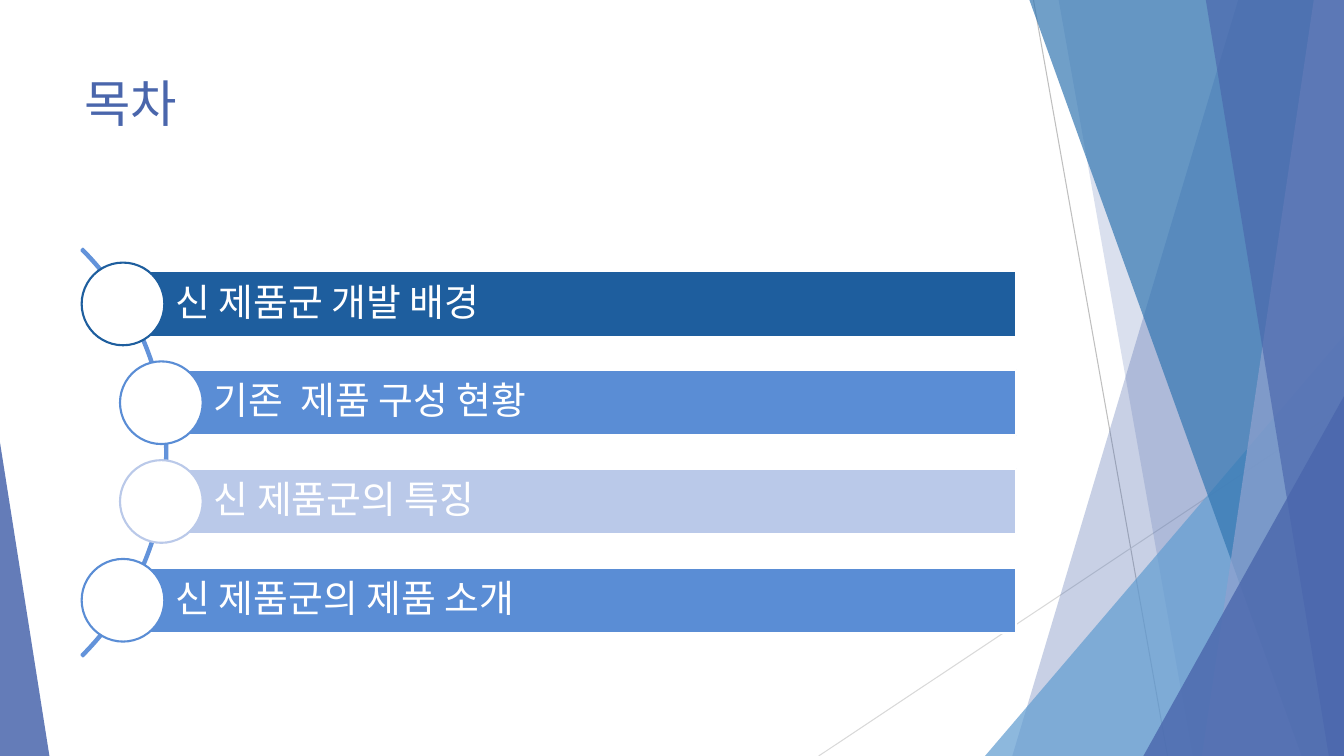
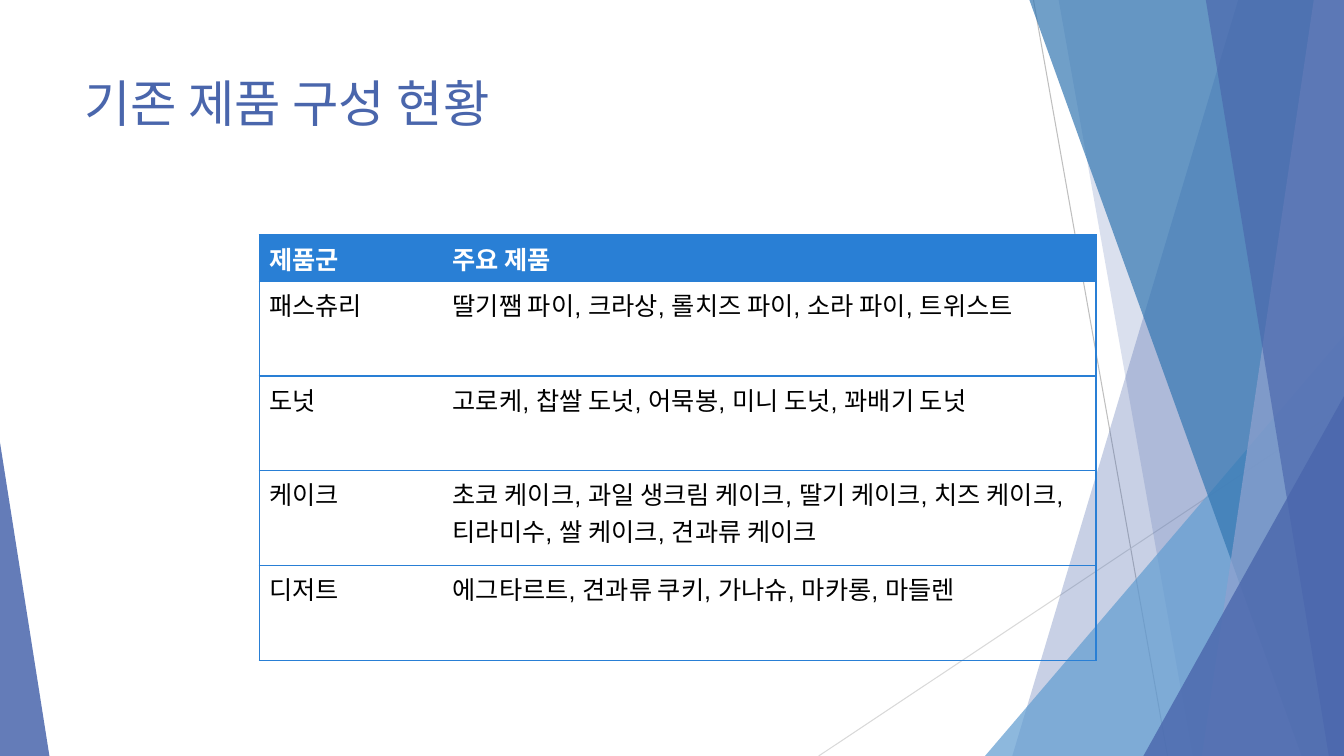
from lxml import etree
from pptx import Presentation
from pptx.dml.color import RGBColor
from pptx.enum.shapes import MSO_CONNECTOR, MSO_SHAPE
from pptx.enum.text import MSO_ANCHOR
from pptx.oxml.ns import qn
from pptx.util import Inches, Pt

RECTANGLE = MSO_SHAPE.RECTANGLE
OVAL = MSO_SHAPE.OVAL
ARC = MSO_SHAPE.BLOCK_ARC
TRIANGLE = MSO_SHAPE.ISOSCELES_TRIANGLE
STRAIGHT = MSO_CONNECTOR.STRAIGHT
MIDDLE = MSO_ANCHOR.MIDDLE

WIDTH, HEIGHT = 13.33, 7.5
LATIN = "Arial"
KOREAN = "Noto Sans CJK KR"
NAVY, WHITE, BLACK = "4A66AC", "FFFFFF", "000000"
DEEP, BLUE, PALE = "1E5E9E", "5A8DD5", "BAC9E9"
TABLE_BLUE, ARC_BLUE = "297FD5", "6393DA"

AGENDA = [
    ("신 제품군 개발 배경", 1.22, DEEP),
    ("기존  제품 구성 현황", 1.6, BLUE),
    ("신 제품군의 특징", 1.6, PALE),
    ("신 제품군의 제품 소개", 1.22, BLUE),
]
PRODUCTS = [
    ("제품군", "주요 제품"),
    ("패스츄리", "딸기쨈 파이, 크라상, 롤치즈 파이, 소라 파이, 트위스트"),
    ("도넛", "고로케, 찹쌀 도넛, 어묵봉, 미니 도넛, 꽈배기 도넛"),
    ("케이크", "초코 케이크, 과일 생크림 케이크, 딸기 케이크, 치즈 케이크, "
               "티라미수, 쌀 케이크, 견과류 케이크"),
    ("디저트", "에그타르트, 견과류 쿠키, 가나슈, 마카롱, 마들렌"),
]


def rgb(color):
    return RGBColor.from_string(color)


def style_text(frame, size, color, font, bold=False):
    for run in frame.paragraphs[0].runs:
        run.font.size = Pt(size)
        run.font.name = font
        run.font.bold = bold
        run.font.color.rgb = rgb(color)


def paint(shape, fill=None, line=None, opacity=100):
    shape.shadow.inherit = False
    if fill:
        shape.fill.solid()
        shape.fill.fore_color.rgb = rgb(fill)
    else:
        shape.fill.background()
    if opacity < 100:
        tint = shape.fill._xPr.find(qn("a:solidFill"))[0]
        etree.SubElement(tint, qn("a:alpha")).set("val", str(opacity * 1000))
    if line:
        shape.line.color.rgb = rgb(line)
        shape.line.width = Pt(1.5)
    else:
        shape.line.fill.background()


def add_preset(slide, kind, left, top, width, height, adjustments=()):
    shape = slide.shapes.add_shape(
        kind, Inches(left), Inches(top), Inches(width), Inches(height))
    for index, value in enumerate(adjustments):
        shape.adjustments[index] = value
    return shape


def add_ray(slide, start, end, color):
    ray = slide.shapes.add_connector(STRAIGHT, *map(Inches, start + end))
    ray.line.color.rgb = rgb(color)
    ray.line.width = Pt(0.75)
    etree.SubElement(ray._element.spPr, qn("a:effectLst"))


def add_facet(slide, top_x, bottom_x, color, opacity):
    corners = [(WIDTH, 0), (WIDTH, HEIGHT), (bottom_x, HEIGHT)]
    builder = slide.shapes.build_freeform(Inches(top_x), 0)
    builder.add_line_segments(
        [(Inches(x), Inches(y)) for x, y in corners], close=True)
    paint(builder.convert_to_shape(), color, opacity=opacity)


def add_wedge(slide, left, top, width, lean, color, opacity):
    wedge = add_preset(slide, TRIANGLE, left, top, width, HEIGHT - top, [lean])
    paint(wedge, color, opacity=opacity)


def add_backdrop(slide):
    add_ray(slide, (10.25, 0), (11.58, HEIGHT), "BFBFBF")
    add_ray(slide, (WIDTH, 4.03), (8.12, HEIGHT), "D9D9D9")
    add_facet(slide, 12.28, 10.04, NAVY, 30)
    add_facet(slide, 10.5, 11.83, NAVY, 20)
    add_wedge(slide, 9.77, 3.33, 3.56, 1, "629DD1", 72)
    add_facet(slide, 10.21, 12.91, "3477B2", 70)
    add_facet(slide, 13.03, 11.92, "90A2CF", 70)
    add_facet(slide, 11.96, 13.18, NAVY, 65)
    add_wedge(slide, 11.34, 3.93, 1.99, 1, NAVY, 80)
    add_wedge(slide, 0, 4.39, 0.49, 0, NAVY, 85)


def add_titled_slide(deck, title):
    slide = deck.slides.add_slide(deck.slide_layouts[6])
    add_backdrop(slide)
    heading = slide.shapes.add_textbox(
        Inches(0.74), Inches(0.67), Inches(9.4), Inches(1.44)).text_frame
    heading.word_wrap = True
    heading.text = title
    style_text(heading, 36, NAVY, LATIN)
    return slide


def add_agenda_item(slide, label, left, top, color):
    bar_height, circle = 0.65, 0.82
    bar = add_preset(slide, RECTANGLE, left, top, 10.08 - left, bar_height)
    paint(bar, color, WHITE)
    frame = bar.text_frame
    frame.word_wrap = True
    frame.vertical_anchor = MIDDLE
    frame.margin_left = Inches(0.52)
    frame.margin_right = frame.margin_top = frame.margin_bottom = Inches(0.07)
    frame.text = label
    frame.paragraphs[0].line_spacing = 0.9
    frame.paragraphs[0].alignment = 1
    style_text(frame, 27, WHITE, KOREAN)
    marker = add_preset(slide, OVAL, left - circle / 2,
                        top - (circle - bar_height) / 2, circle, circle)
    paint(marker, WHITE, color)


def add_agenda(slide):
    arc = add_preset(slide, ARC, -4.06, 1.63, 5.72, 5.72, [189, 27, 0.004])
    paint(arc, line=ARC_BLUE)
    for index, (label, left, color) in enumerate(AGENDA):
        add_agenda_item(slide, label, left, 2.69 + 0.98 * index, color)


def set_borders(cell, visible):
    properties = cell._tc.get_or_add_tcPr()
    for index, side in enumerate("LRTB"):
        border = etree.Element(qn(f"a:ln{side}"), w=str(Pt(1)))
        if side in visible:
            fill = etree.SubElement(border, qn("a:solidFill"))
            etree.SubElement(fill, qn("a:srgbClr"), val=TABLE_BLUE)
        else:
            etree.SubElement(border, qn("a:noFill"))
        properties.insert(index, border)


def add_product_table(slide):
    row_heights = [0.46] + [0.94] * (len(PRODUCTS) - 1)
    table = slide.shapes.add_table(
        len(PRODUCTS), 2, Inches(2.57), Inches(2.33),
        Inches(8.3), Inches(sum(row_heights))).table
    table.horz_banding = False
    for column, width in zip(table.columns, (1.82, 6.48)):
        column.width = Inches(width)
    for row_index, texts in enumerate(PRODUCTS):
        table.rows[row_index].height = Inches(row_heights[row_index])
        is_header = row_index == 0
        for column_index, text in enumerate(texts):
            cell = table.cell(row_index, column_index)
            cell.text = text
            style_text(cell.text_frame, 18, WHITE if is_header else BLACK,
                       LATIN, is_header)
            if is_header:
                cell.fill.solid()
                cell.fill.fore_color.rgb = rgb(TABLE_BLUE)
            else:
                cell.fill.background()
            set_borders(cell, "TB" + "LR"[column_index])


def main():
    deck = Presentation()
    deck.slide_width = Inches(WIDTH)
    deck.slide_height = Inches(HEIGHT)
    add_agenda(add_titled_slide(deck, "목차"))
    add_product_table(add_titled_slide(deck, "기존 제품 구성 현황"))
    deck.save("out.pptx")


if __name__ == "__main__":
    main()
